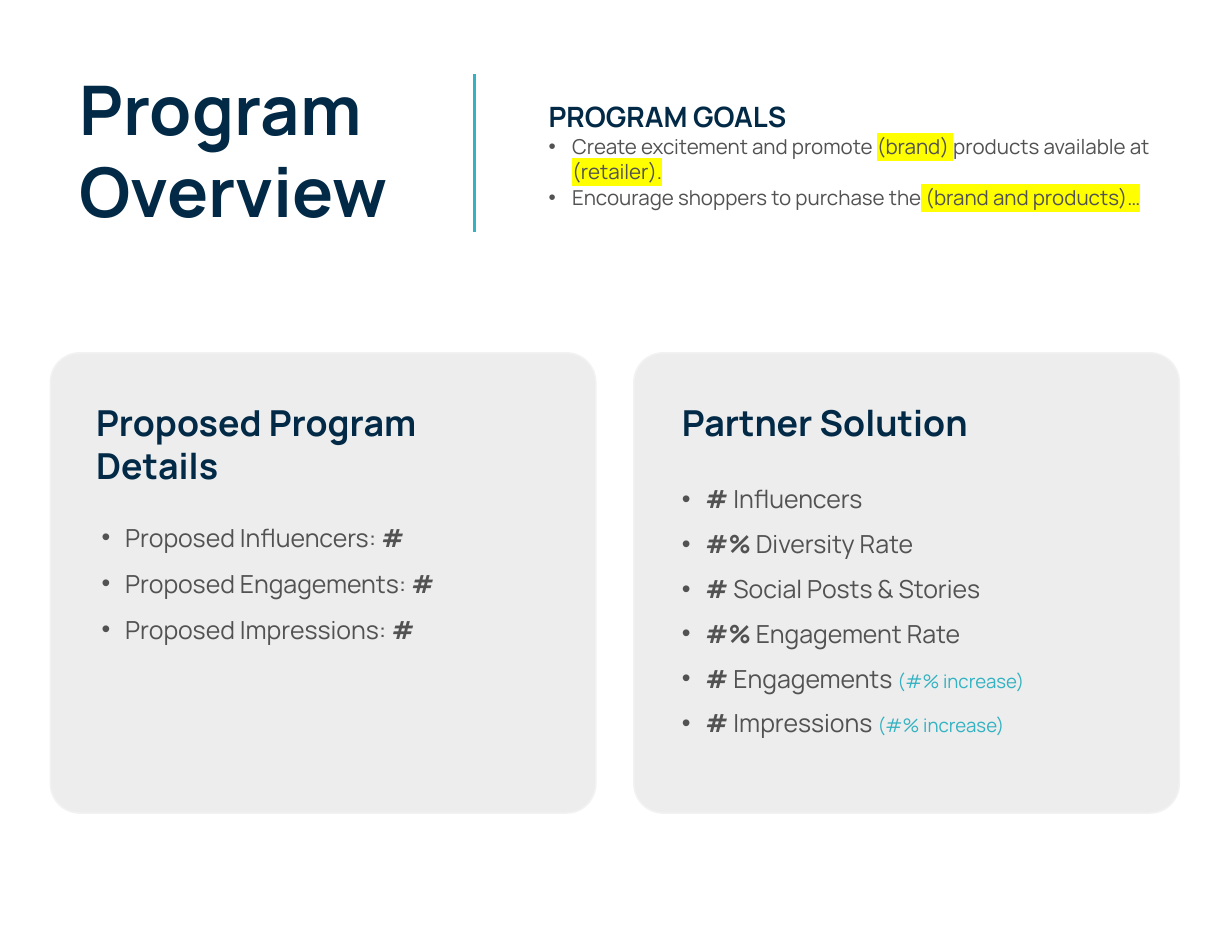
from typing import NamedTuple, Optional

from lxml import etree
from pptx import Presentation
from pptx.dml.color import RGBColor
from pptx.enum.shapes import MSO_CONNECTOR, MSO_SHAPE
from pptx.enum.text import MSO_ANCHOR, MSO_AUTO_SIZE, PP_ALIGN
from pptx.oxml.ns import qn
from pptx.util import Inches, Pt

ROUNDED = MSO_SHAPE.ROUNDED_RECTANGLE
STRAIGHT = MSO_CONNECTOR.STRAIGHT
TOP = MSO_ANCHOR.TOP
FIT_SHAPE = MSO_AUTO_SIZE.SHAPE_TO_FIT_TEXT
LEFT = PP_ALIGN.LEFT

FONT = "Manrope"
COLORS = {
    "navy": "022A47",
    "text": "525252",
    "teal": "33B2C1",
    "card": "EDEDED",
    "card_line": "F2F2F2",
    "marker": "FFFF00",
}
INDENT = Inches(0.21)


class Run(NamedTuple):
    text: str
    bold: bool = False
    size: Optional[float] = None
    color: Optional[str] = None
    marked: bool = False


class Box(NamedTuple):
    left: float
    top: float
    width: float
    height: float

    def lengths(self):
        return [Inches(v) for v in self]


class Card(NamedTuple):
    left: float
    heading: str
    heading_box: Box
    items: list[list[Run]]
    list_box: Box
    space_before: float


def rgb(name: str) -> RGBColor:
    return RGBColor.from_string(COLORS[name])


def add_bullet(p) -> None:
    pPr = p._p.get_or_add_pPr()
    pPr.set("marL", str(INDENT))
    pPr.set("indent", str(-INDENT))
    etree.SubElement(pPr, qn("a:buFont")).set("typeface", "Arial")
    etree.SubElement(pPr, qn("a:buChar")).set("char", "•")


def highlight(r) -> None:
    mark = etree.Element(qn("a:highlight"))
    etree.SubElement(mark, qn("a:srgbClr")).set("val", COLORS["marker"])
    r._r.rPr.find(qn("a:latin")).addprevious(mark)


def write(tf, paragraphs: list[list[Run]], *, size: float, color: str,
          bullet: bool = False, line_spacing: Optional[float] = None,
          space_before: float = 0) -> None:
    """Append paragraphs, filling the empty first paragraph of a new frame."""
    tf.word_wrap = True
    tf.auto_size = FIT_SHAPE
    tf.vertical_anchor = TOP
    for runs in paragraphs:
        first = not tf.text
        p = tf.paragraphs[0] if first else tf.add_paragraph()
        p.alignment = LEFT
        if line_spacing:
            p.line_spacing = line_spacing
        if space_before and not first:
            p.space_before = Pt(space_before)
        if bullet:
            add_bullet(p)
        for run in runs:
            r = p.add_run()
            r.text = run.text
            r.font.name = FONT
            r.font.size = Pt(run.size or size)
            r.font.bold = run.bold
            r.font.color.rgb = rgb(run.color or color)
            if run.marked:
                highlight(r)


def add_text_frame(slide, box: Box):
    return slide.shapes.add_textbox(*box.lengths()).text_frame


def add_title(slide) -> None:
    title = slide.shapes.title
    title.left, title.top, title.width, title.height = Box(
        0.61, 0.55, 3.66, 1.58).lengths()
    write(title.text_frame, [[Run("Program", True)], [Run("Overview", True)]],
          size=44, color="navy")


def add_divider(slide) -> None:
    x = Inches(4.24)
    line = slide.shapes.add_connector(STRAIGHT, x, Inches(0.66), x, Inches(2.07))
    line.line.color.rgb = rgb("teal")
    line.line.width = Pt(2)
    etree.SubElement(line._element.spPr, qn("a:effectLst"))


def add_goals(slide) -> None:
    tf = add_text_frame(slide, Box(4.8, 0.69, 5.59, 1.25))
    write(tf, [[Run("PROGRAM GOALS", True)]], size=18, color="navy",
          line_spacing=1.5)
    goals = [
        [Run("Create excitement and promote "), Run("(brand) ", marked=True),
         Run("products available at "), Run("(retailer).", marked=True)],
        [Run("Encourage shoppers to purchase the"),
         Run(" (brand and products)…", marked=True)],
    ]
    write(tf, goals, size=13.2, color="text", bullet=True, space_before=0.8)


def add_card(slide, card: Card) -> None:
    sp = slide.shapes.add_shape(ROUNDED, *Box(card.left, 3.15, 4.87, 4.11).lengths())
    sp.adjustments[0] = 0.064
    sp.shadow.inherit = False
    sp.fill.solid()
    sp.fill.fore_color.rgb = rgb("card")
    sp.line.color.rgb = rgb("card_line")
    sp.line.width = Pt(1)
    write(add_text_frame(slide, card.heading_box), [[Run(card.heading, True)]],
          size=23, color="navy")
    write(add_text_frame(slide, card.list_box), card.items, size=16, color="text",
          bullet=True, line_spacing=1.5, space_before=card.space_before)


def main() -> None:
    proposed = [[Run(f"Proposed {name}: "), Run("#", True)]
                for name in ("Influencers", "Engagements", "Impressions")]
    increase = Run("(#% increase)", size=12, color="teal")
    solution = [
        [Run("#", True), Run(" Influencers")],
        [Run("#%", True), Run(" Diversity Rate")],
        [Run("#", True), Run(" Social Posts & Stories")],
        [Run("#% ", True), Run("Engagement Rate")],
        [Run("#", True), Run(" Engagements "), increase],
        [Run("#", True), Run(" Impressions "), increase],
    ]
    cards = [
        Card(0.45, "Proposed Program Details", Box(0.76, 3.53, 3.37, 0.91),
             proposed, Box(0.81, 4.48, 4.86, 1.29), 0.8),
        Card(5.66, "Partner Solution", Box(5.99, 3.53, 3.37, 0.49),
             solution, Box(5.99, 4.14, 5.32, 2.48), 0),
    ]

    prs = Presentation()
    prs.slide_width, prs.slide_height = Inches(11), Inches(8.5)
    slide = prs.slides.add_slide(prs.slide_layouts[5])
    add_title(slide)
    add_divider(slide)
    add_goals(slide)
    for card in cards:
        add_card(slide, card)
    prs.save("out.pptx")


if __name__ == "__main__":
    main()
